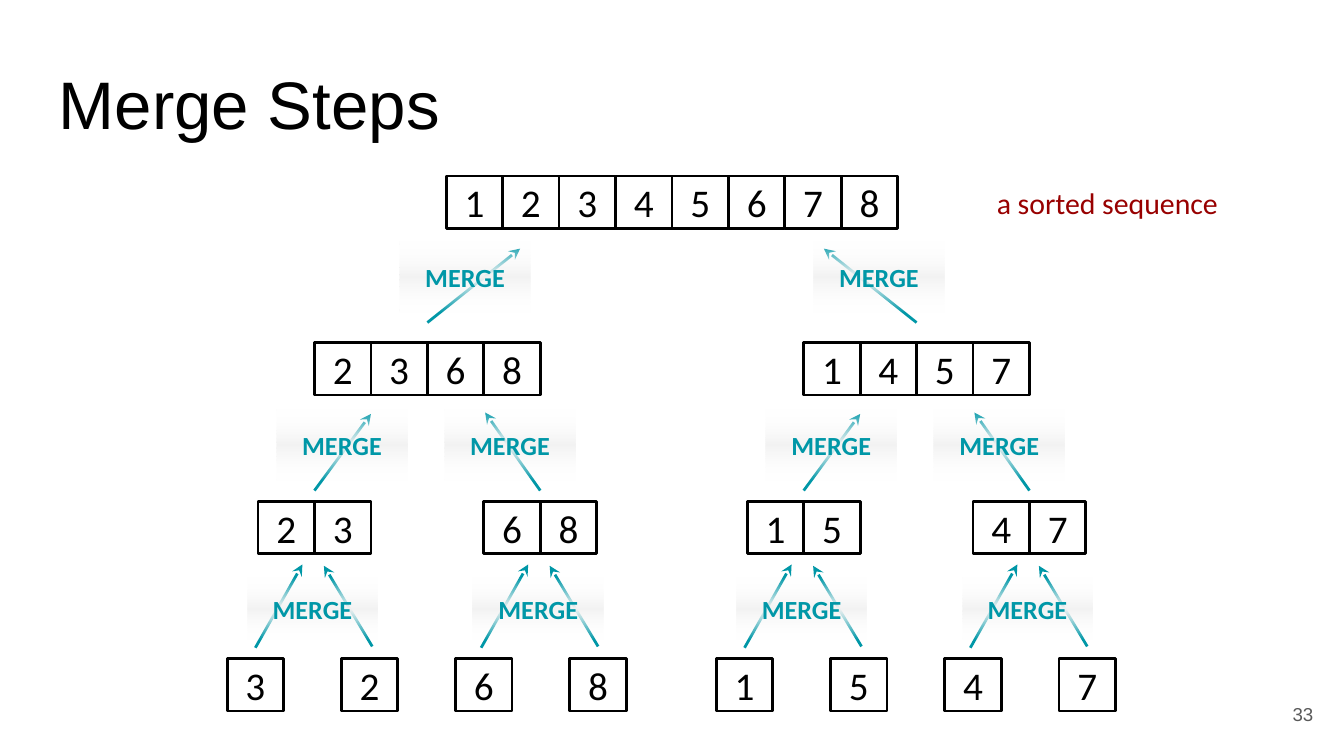
from dataclasses import dataclass

from lxml.etree import SubElement
from pptx import Presentation
from pptx.dml.color import RGBColor
from pptx.enum.shapes import MSO_CONNECTOR, MSO_SHAPE
from pptx.enum.text import MSO_ANCHOR, PP_ALIGN
from pptx.oxml import parse_xml
from pptx.oxml.ns import nsdecls, qn
from pptx.util import Inches, Pt


@dataclass(frozen=True)
class Theme:
    """Colours, fonts, type sizes and line widths of the slide."""
    ink: str = "000000"
    paper: str = "FFFFFF"
    accent: str = "0097A7"
    band: str = "F3F3F3"
    note: str = "980000"
    muted: str = "595959"
    head_font: str = "Arial"
    body_font: str = "Calibri"
    title_size: int = 36
    cell_size: int = 21
    note_size: int = 16
    merge_size: int = 14
    number_size: int = 10
    line: float = 1.5


T = Theme()
prs = Presentation()
prs.slide_width, prs.slide_height = Inches(10), Inches(5.625)
COL, ROW = prs.slide_width / 100, prs.slide_height / 56.25
CELL_W, CELL_H = 4.2, 3.9
LABEL_W = 9.7
LEVELS = (13.1, 25.5, 37.3, 49)
HALF_STEP, PAIR_STEP, LEAF_STEP = 36.4, 16.8, 8.5


def grid(x, y, w, h):
    """Turn a box in columns and rows into slide lengths."""
    return round(x * COL), round(y * ROW), round(w * COL), round(h * ROW)


def write(shape, text, size, color, font=T.body_font, align=PP_ALIGN.CENTER, bold=False):
    """Put one formatted line of text into a shape."""
    tf = shape.text_frame
    frame = {"word_wrap": True, "vertical_anchor": MSO_ANCHOR.MIDDLE}
    frame |= {f"margin_{side}": Inches(0.1) for side in ("left", "top", "right", "bottom")}
    for name, value in frame.items():
        setattr(tf, name, value)
    p = tf.paragraphs[0]
    p.alignment = align
    r = p.add_run()
    for name, value in {"text": text}.items():
        setattr(r, name, value)
    for name, value in {"name": font, "size": Pt(size), "bold": bold}.items():
        setattr(r.font, name, value)
    r.font.color.rgb = RGBColor.from_string(color)


def text_box(s, box, *args, **kwargs):
    """Add a text box in the given box."""
    write(s.shapes.add_textbox(*grid(*box)), *args, **kwargs)


def rectangle(s, box):
    """Add a rectangle without a shadow."""
    sp = s.shapes.add_shape(MSO_SHAPE.RECTANGLE, *grid(*box))
    sp.shadow.inherit = False
    return sp


def array(s, x, y, values, step=CELL_W):
    """Draw values as a row of cells starting at x, y."""
    for i, value in enumerate(values):
        sp = rectangle(s, (x + i * step, y, CELL_W, CELL_H))
        sp.fill.solid()
        sp.fill.fore_color.rgb = RGBColor.from_string(T.paper)
        sp.line.color.rgb = RGBColor.from_string(T.ink)
        sp.line.width = Pt(T.line)
        write(sp, str(value), T.cell_size, T.ink)


def arrow(s, x1, y1, x2, y2):
    """Draw an arrow from the first point to the second."""
    ends = grid(x1, y1, x2, y2)
    c = s.shapes.add_connector(MSO_CONNECTOR.STRAIGHT, *ends)
    c.line.color.rgb = RGBColor.from_string(T.accent)
    c.line.width = Pt(T.line)
    SubElement(c.line._get_or_add_ln(), qn("a:tailEnd"), type="stealth")
    SubElement(c._element.spPr, qn("a:effectLst"))


def merge_label(s, x, y, h):
    """Draw a MERGE label on a band that fades out above and below."""
    sp = rectangle(s, (x, y, LABEL_W, h))
    sp.line.fill.background()
    clear = f'<a:srgbClr val="{T.paper}"><a:alpha val="0"/></a:srgbClr>'
    fill = parse_xml(
        f'<a:gradFill {nsdecls("a")} rotWithShape="1"><a:gsLst>'
        f'<a:gs pos="0">{clear}</a:gs>'
        f'<a:gs pos="50000"><a:srgbClr val="{T.band}"/></a:gs>'
        f'<a:gs pos="100000">{clear}</a:gs>'
        '</a:gsLst><a:lin ang="5400000" scaled="0"/></a:gradFill>')
    sp._element.spPr.find(qn("a:prstGeom")).addnext(fill)
    write(sp, "MERGE", T.merge_size, T.accent, bold=True)


def pair(s, x, values):
    """Draw two merged values with the arrows that lead up to them."""
    y = LEVELS[2]
    arrow(s, x - 0.2, y + 10.9, x + 3.3, y + 4.7)
    arrow(s, x + 8.5, y + 10.8, x + 4.9, y + 4.8)
    merge_label(s, x - 0.8, y + 5.7, 4.6)
    array(s, x, y, sorted(values))


def half(s, x, values):
    """Draw one half of the tree, from four leaves to four sorted values."""
    y = LEVELS[1]
    arrow(s, x + 6.5, y + 11, x + 10.7, y + 5.3)
    arrow(s, x + 23.3, y + 11, x + 19.2, y + 5.2)
    for offset in (3.7, 16.2):
        merge_label(s, x + offset, y + 5, 5.3)
    array(s, x + 6.5, y, sorted(values))
    for i in range(2):
        pair(s, x + 2.3 + i * PAIR_STEP, values[2 * i:2 * i + 2])
    array(s, x, LEVELS[3], values, LEAF_STEP)


def merge_tree(s, x, values):
    """Draw the whole merge tree with its left edge at x."""
    y, center = LEVELS[0], 50
    for side in (-1, 1):
        arrow(s, center + side * 18.2, y + 10.9, center + side * 11.3, y + 5.4)
        merge_label(s, center + side * 15.4 - LABEL_W / 2, y + 4.9, 5.3)
    array(s, center - len(values) * CELL_W / 2, y, sorted(values))
    for i in range(2):
        half(s, x + i * HALF_STEP, values[4 * i:4 * i + 4])


def merge_slide():
    """Add the slide with its title, tree, note and number."""
    s = prs.slides.add_slide(prs.slide_layouts[6])
    text_box(s, (3.4, 4.1, 93.2, 7.1), "Merge Steps", T.title_size, T.ink,
             T.head_font, PP_ALIGN.LEFT)
    merge_tree(s, 16.9, [3, 2, 6, 8, 1, 5, 4, 7])
    text_box(s, (68.2, LEVELS[0], 28.4, CELL_H), "a sorted sequence", T.note_size, T.note)
    text_box(s, (92.7, 51, 6, 4.3), "33", T.number_size, T.muted,
             T.head_font, PP_ALIGN.RIGHT)


if __name__ == "__main__":
    merge_slide()
    prs.save("out.pptx")
